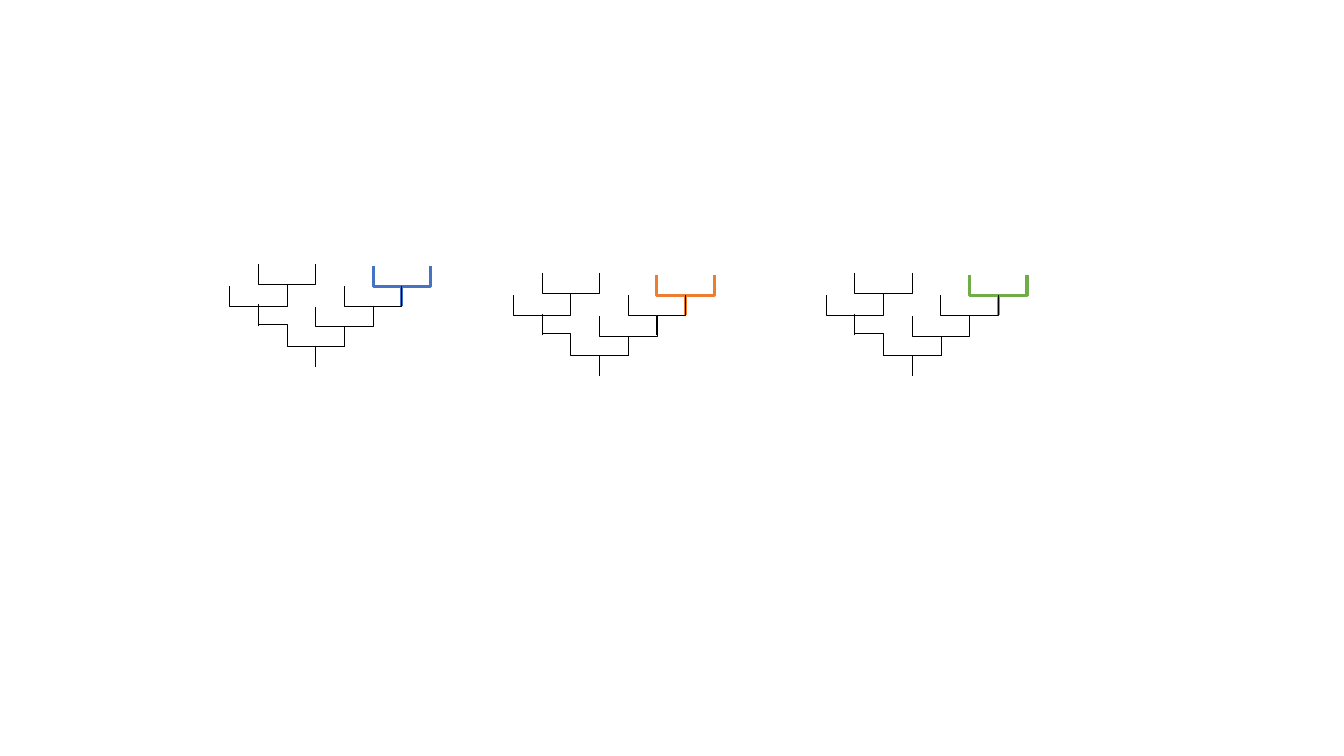
from dataclasses import dataclass

from lxml import etree
from pptx import Presentation
from pptx.dml.color import RGBColor
from pptx.enum.shapes import MSO_CONNECTOR
from pptx.oxml.ns import qn
from pptx.util import Cm, Pt

ELBOW = MSO_CONNECTOR.ELBOW
BLANK_LAYOUT = 6
QUARTER_TURN = "5400000"


@dataclass(frozen=True)
class Theme:
    """Colours, line widths and tree measures in centimetres."""

    branch: str = "000000"
    clades: tuple = ("4472C4", "ED7D31", "70AD47")
    thin: float = 0.5
    thick: float = 2.25
    tree_width: float = 5.06
    columns: int = 7
    arm_height: float = 1.01


THEME = Theme()
TREE_CORNERS = ((5.79, 6.65), (12.94, 6.88), (20.82, 6.88))
BOTH_ARMS = (False, True)
LEFT_ARM = (True,)
FORKS = (
    (3, 1.08, BOTH_ARMS, False),
    (2, 1.58, BOTH_ARMS, False),
    (5, 0.06, BOTH_ARMS, True),
    (4, 0.56, BOTH_ARMS, False),
    (1, 1.02, LEFT_ARM, False),
    (0, 0.56, BOTH_ARMS, False),
    (1, 0, BOTH_ARMS, False),
)


def add_arm(shapes, left, top, width, height, rising, color, weight):
    """Draw a vertical-first elbow in the box, rising to the left or falling from the right."""
    turned_left = left + (width - height) / 2
    turned_top = top + (height - width) / 2
    begin_x, end_x = turned_left, turned_left + height
    if rising:
        begin_x, end_x = end_x, begin_x
    connector = shapes.add_connector(
        ELBOW, Cm(begin_x), Cm(turned_top), Cm(end_x), Cm(turned_top + width)
    )
    connector.line.color.rgb = RGBColor.from_string(color)
    connector.line.width = Pt(weight)
    properties = connector._element.spPr
    properties.find(qn("a:xfrm")).set("rot", QUARTER_TURN)
    etree.SubElement(properties, qn("a:effectLst"))


def add_tree(slide, left, top, width, clade_color):
    """Draw one grouped tree with its coloured clade from the given corner and width."""
    tree = slide.shapes.add_group_shape()
    step = width / THEME.columns
    for column, offset, arms, is_clade in FORKS:
        color = clade_color if is_clade else THEME.branch
        weight = THEME.thick if is_clade else THEME.thin
        for rising in arms:
            arm_left = left + step * (column if rising else column + 1)
            add_arm(tree.shapes, arm_left, top + offset, step, THEME.arm_height,
                    rising, color, weight)


def main():
    """Build the slide with three trees and save it."""
    presentation = Presentation()
    presentation.slide_width = Cm(33.87)
    presentation.slide_height = Cm(19.05)
    slide = presentation.slides.add_slide(presentation.slide_layouts[BLANK_LAYOUT])
    for (left, top), clade_color in zip(TREE_CORNERS, THEME.clades):
        add_tree(slide, left, top, THEME.tree_width, clade_color)
    presentation.save("out.pptx")


main()
